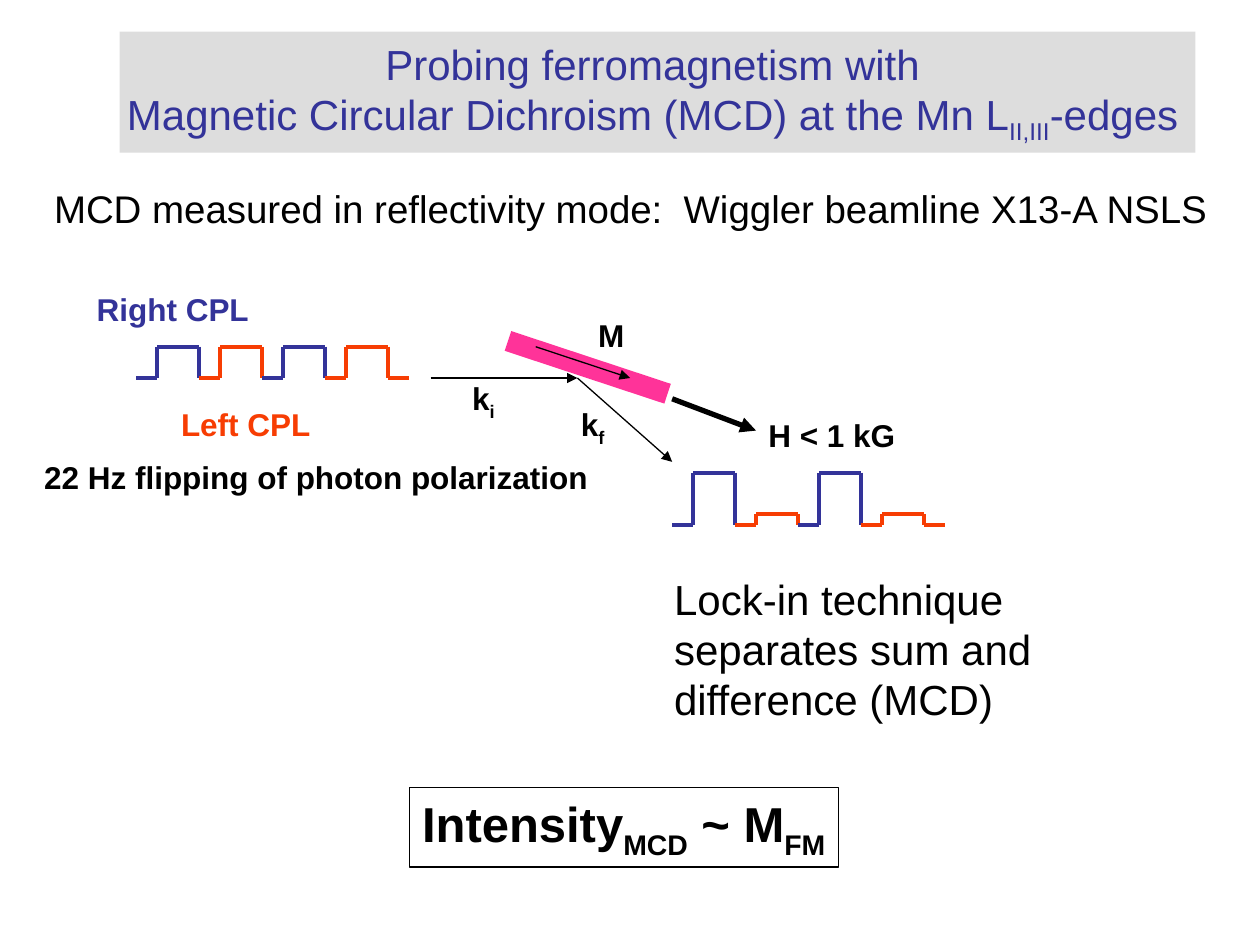
from lxml.etree import SubElement as Sub
from pptx import Presentation
from pptx.dml.color import RGBColor
from pptx.enum.shapes import MSO_CONNECTOR as Link, MSO_SHAPE as Kind
from pptx.enum.text import MSO_ANCHOR as Anchor, MSO_AUTO_SIZE as Auto, PP_ALIGN as Align
from pptx.oxml.ns import qn
from pptx.util import Cm, Pt

hue = RGBColor.from_string
BLUE, RED, PINK, BLACK, GREY = "333399", "F73D03", "FF3399", "000000", "DDDDDD"


def write(frame, paras, size, tint, bold=False, align=Align.LEFT, wrap=False):
    frame.word_wrap = wrap
    frame.auto_size = Auto.SHAPE_TO_FIT_TEXT
    frame.vertical_anchor = Anchor.TOP
    for i, runs in enumerate(paras):
        para = frame.add_paragraph() if i else frame.paragraphs[0]
        para.alignment = align
        para.space_before = Pt(0)
        for j, part in enumerate(runs):
            run = para.add_run()
            run.text = part
            font = run.font
            font.name, font.size, font.bold = "Arial", Pt(size), bold
            font.color.rgb = hue(tint)
            if j % 2:
                run._r.get_or_add_rPr().set("baseline", "-25000")


def draw(x1, y1, x2, y2, tint, width, arrow=False):
    line = slide.shapes.add_connector(Link.STRAIGHT, Cm(x1), Cm(y1), Cm(x2), Cm(y2))
    line.line.color.rgb = hue(tint)
    line.line.width = Pt(width)
    if arrow:
        Sub(line.line._get_or_add_ln(), qn("a:tailEnd"), type="triangle")
    Sub(line._element.spPr, qn("a:effectLst"))


deck = Presentation()
deck.slide_width, deck.slide_height = Cm(25.4), Cm(19.05)
slide = deck.slides.add_slide(deck.slide_layouts[5])

title = slide.shapes.title
title.left, title.top, title.width, title.height = Cm(2.41), Cm(0.64), Cm(21.69), Cm(2.44)
title.fill.solid()
title.fill.fore_color.rgb = hue(GREY)
head = title.text_frame
write(head, [
    ["Probing ferromagnetism with"],
    ["Magnetic Circular Dichroism (MCD) at the Mn L", "II,III", "-edges"],
], 24, BLUE, align=Align.CENTER, wrap=True)
head.auto_size = Auto.NONE
head.margin_left, head.margin_right = Cm(0), Cm(0.2)

film = slide.shapes.add_shape(Kind.RECTANGLE, Cm(11.64), Cm(5.71), Cm(0.42), Cm(3.39))
film.rotation = 288.3
film.shadow.inherit = False
film.fill.solid()
film.fill.fore_color.rgb = hue(PINK)
film.line.fill.background()

for x1, y1, x2, y2, width in [
    (8.68, 7.62, 11.64, 7.62, 0.75),
    (11.64, 7.62, 13.55, 9.31, 0.75),
    (13.55, 8.04, 15.24, 8.68, 3),
    (10.8, 6.99, 12.7, 7.62, 0.75),
]:
    draw(x1, y1, x2, y2, BLACK, width, True)

for left, base, highs in [(2.75, 7.62, (6.99, 6.99)), (13.55, 10.58, (9.53, 10.37))]:
    for i in range(4):
        start = left + i * 1.27
        rise, fall, end = start + 0.42, start + 1.27, start + 1.69
        top, tint = highs[i % 2], (BLUE, RED)[i % 2]
        path = [(start, base), (rise, base), (rise, top), (fall, top), (fall, base), (end, base)]
        for (x1, y1), (x2, y2) in zip(path, path[1:]):
            draw(x1, y1, x2, y2, tint, 2.25)

for x, y, w, h, runs, size, tint, bold in [
    (15.24, 8.26, 3.07, 1.02, ["H < 1 kG"], 18, BLACK, True),
    (1.7, 5.72, 3.58, 1.02, ["Right CPL"], 18, BLUE, True),
    (3.4, 8.04, 3.12, 1.02, ["Left CPL"], 18, RED, True),
    (0.84, 3.61, 23.8, 1.19,
     ["MCD measured in reflectivity mode:  Wiggler beamline X13-A NSLS"], 22, BLACK, False),
    (0.64, 9.1, 11.48, 1.02, ["22 Hz flipping of photon polarization"], 18, BLACK, True),
    (9.27, 7.52, 0.97, 1.12, ["k", "i"], 18, BLACK, True),
    (11.46, 8.04, 0.99, 1.12, ["k", "f"], 18, BLACK, True),
    (11.81, 6.25, 1.04, 1.02, ["M"], 18, BLACK, True),
]:
    box = slide.shapes.add_textbox(Cm(x), Cm(y), Cm(w), Cm(h))
    write(box.text_frame, [runs], size, tint, bold)

note = slide.shapes.add_textbox(Cm(13.34), Cm(11.43), Cm(10.36), Cm(3.3))
write(note.text_frame, [["Lock-in technique"], ["separates sum and difference (MCD)"]],
      24, BLACK, wrap=True)

law = slide.shapes.add_shape(Kind.RECTANGLE, Cm(8.26), Cm(15.88), Cm(8.64), Cm(1.6))
law.shadow.inherit = False
law.fill.background()
law.line.color.rgb = hue(BLACK)
law.line.width = Pt(0.75)
write(law.text_frame, [["Intensity", "MCD", " ~ M", "FM"]], 28, BLACK, True)

deck.save("out.pptx")
